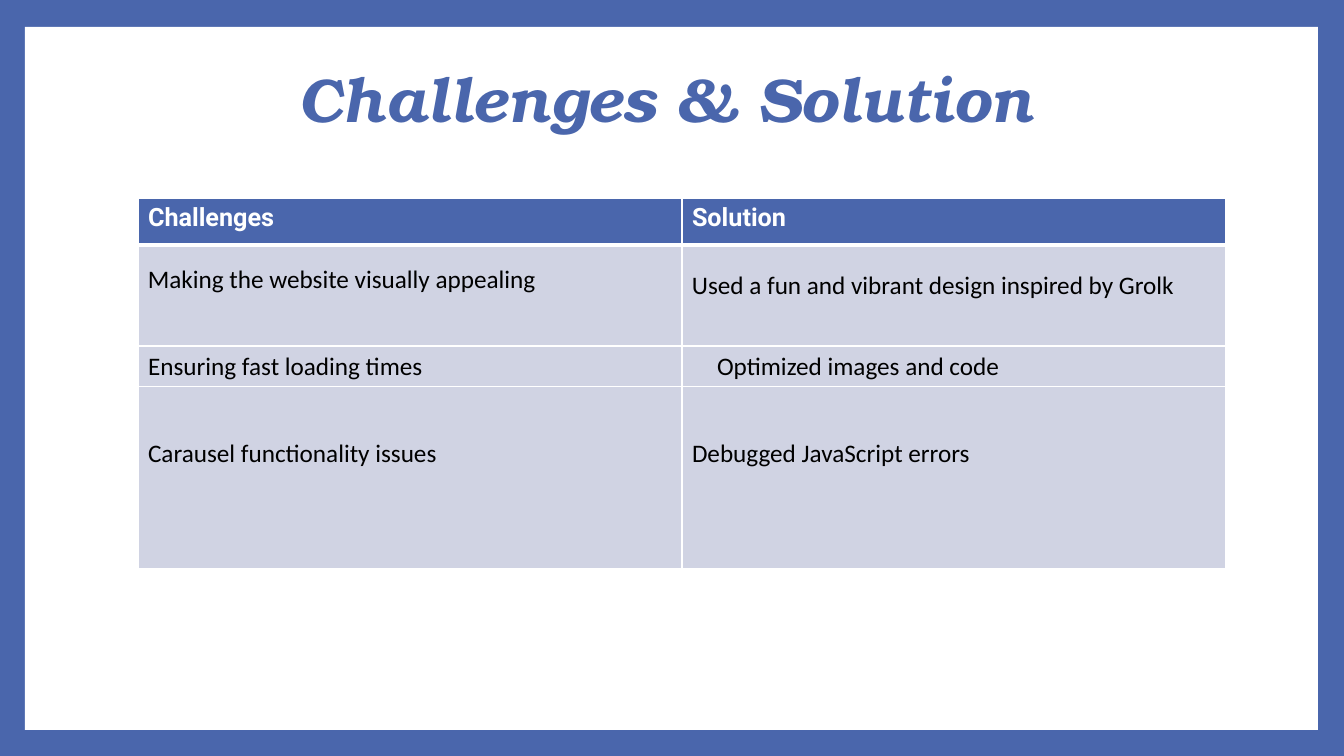
from dataclasses import dataclass

from pptx import Presentation
from pptx import util as u
from pptx.dml.color import RGBColor
from pptx.enum import shapes, text
from pptx.oxml.ns import qn
from lxml import etree

BLUE = RGBColor(0x4A, 0x66, 0xAC)
PALE = RGBColor(0xD0, 0xD3, 0xE3)
WHITE = RGBColor(0xFF, 0xFF, 0xFF)
BLACK = RGBColor(0, 0, 0)

LEFT, WIDTH = 138, 1088


@dataclass(frozen=True)
class Column:
    head: str
    last: str


@dataclass(frozen=True)
class Note:
    words: str
    left: int
    top: int
    width: int
    indent: int = 0


COLUMNS = (
    Column("Challenges", "Carausel functionality issues"),
    Column("Solution", "Debugged JavaScript errors"),
)
NOTES = (
    Note("Making the website visually appealing", LEFT, 258, 527),
    Note("Used a fun and vibrant design inspired by Grolk", 665, 264, 533, 17),
)


def px(n: int) -> u.Emu:
    return u.Emu(round(n * 12192000 / 1344))


def write(para, words: str, *, font: str = "Calibri", size: int = 18,
          color: RGBColor = BLACK, bold: bool = False, italic: bool = False,
          align=text.PP_ALIGN.LEFT, indent: int = 0, tab: int = 0,
          lines: float = 1.0) -> None:
    run = para.add_run()
    run.text = words
    face = run.font
    face.name, face.size = font, u.Pt(size)
    face.bold, face.italic = bold, italic
    face.color.rgb = color
    para.alignment, para.line_spacing = align, lines
    props = para._p.get_or_add_pPr()
    if indent:
        props.set("marL", str(px(indent)))
    if tab:
        stops = etree.SubElement(props, qn("a:tabLst"))
        etree.SubElement(stops, qn("a:tab"), pos=str(px(tab)), algn="l")


def paint(cell, fill: RGBColor, top: int, bottom: int) -> None:
    """Give a cell white borders, with widths in points, and a fill."""
    props = cell._tc.get_or_add_tcPr()
    for side, width in (("L", 1), ("R", 1), ("T", top), ("B", bottom)):
        line = etree.SubElement(props, qn(f"a:ln{side}"), w=str(u.Pt(width)))
        solid = etree.SubElement(line, qn("a:solidFill"))
        etree.SubElement(solid, qn("a:srgbClr"), val=str(WHITE))
    cell.fill.solid()
    cell.fill.fore_color.rgb = fill


def add_frame(slide) -> None:
    slide.background.fill.solid()
    slide.background.fill.fore_color.rgb = BLUE
    panel = slide.shapes.add_shape(shapes.MSO_SHAPE.RECTANGLE,
                                   px(25), px(27), px(1293), px(703))
    panel.shadow.inherit = False
    panel.fill.solid()
    panel.fill.fore_color.rgb = WHITE
    panel.line.fill.background()
    slide.shapes.element.insert(2, panel.element)  # behind the title


def add_title(slide) -> None:
    title = slide.shapes.title
    title.left, title.top = px(121), px(28)
    title.width, title.height = px(1089), px(149)
    frame = title.text_frame
    frame.auto_size = text.MSO_AUTO_SIZE.NONE
    frame.vertical_anchor = text.MSO_ANCHOR.MIDDLE
    write(frame.paragraphs[0], "Challenges & Solution", font="TeX Gyre Bonum",
          size=44, color=BLUE, bold=True, italic=True,
          align=text.PP_ALIGN.CENTER, lines=0.9)


def add_table(slide, top: int, heights: tuple[int, ...], cols: int):
    """Add an unbanded table of the shared left edge and width."""
    table = slide.shapes.add_table(len(heights), cols, px(LEFT), px(top),
                                   px(WIDTH), px(sum(heights))).table
    table.first_row = table.horz_banding = False
    for row, height in zip(table.rows, heights):
        row.height = px(height)
    return table


def add_grid(slide) -> None:
    grid = add_table(slide, 198, (47, 324), len(COLUMNS))
    for i, col in enumerate(COLUMNS):
        head, body = grid.cell(0, i), grid.cell(1, i)
        paint(head, BLUE, top=1, bottom=3)
        write(head.text_frame.paragraphs[0], col.head, font="Roboto",
              color=WHITE, bold=True)
        paint(body, PALE, top=3, bottom=1)
        body.vertical_anchor = text.MSO_ANCHOR.MIDDLE
        body.margin_top = px(98)
        write(body.text_frame.paragraphs[0], col.last)


def add_note(slide, note: Note) -> None:
    box = slide.shapes.add_textbox(px(note.left), px(note.top),
                                   px(note.width), px(40))
    frame = box.text_frame
    frame.word_wrap = True
    frame.auto_size = text.MSO_AUTO_SIZE.SHAPE_TO_FIT_TEXT
    write(frame.paragraphs[0], note.words, indent=note.indent)


def add_strip(slide) -> None:
    cell = add_table(slide, 346, (40,), 1).cell(0, 0)
    cell.fill.background()
    cell.vertical_anchor = text.MSO_ANCHOR.MIDDLE
    write(cell.text_frame.paragraphs[0],
          "Ensuring fast loading times\tOptimized images and code", tab=569)


def main() -> None:
    deck = Presentation()
    deck.slide_width, deck.slide_height = px(1344), px(756)
    slide = deck.slides.add_slide(deck.slide_layouts.get_by_name("Title Only"))
    add_frame(slide)
    add_title(slide)
    add_grid(slide)
    for note in NOTES:
        add_note(slide, note)
    add_strip(slide)
    deck.save("out.pptx")


if __name__ == "__main__":
    main()
